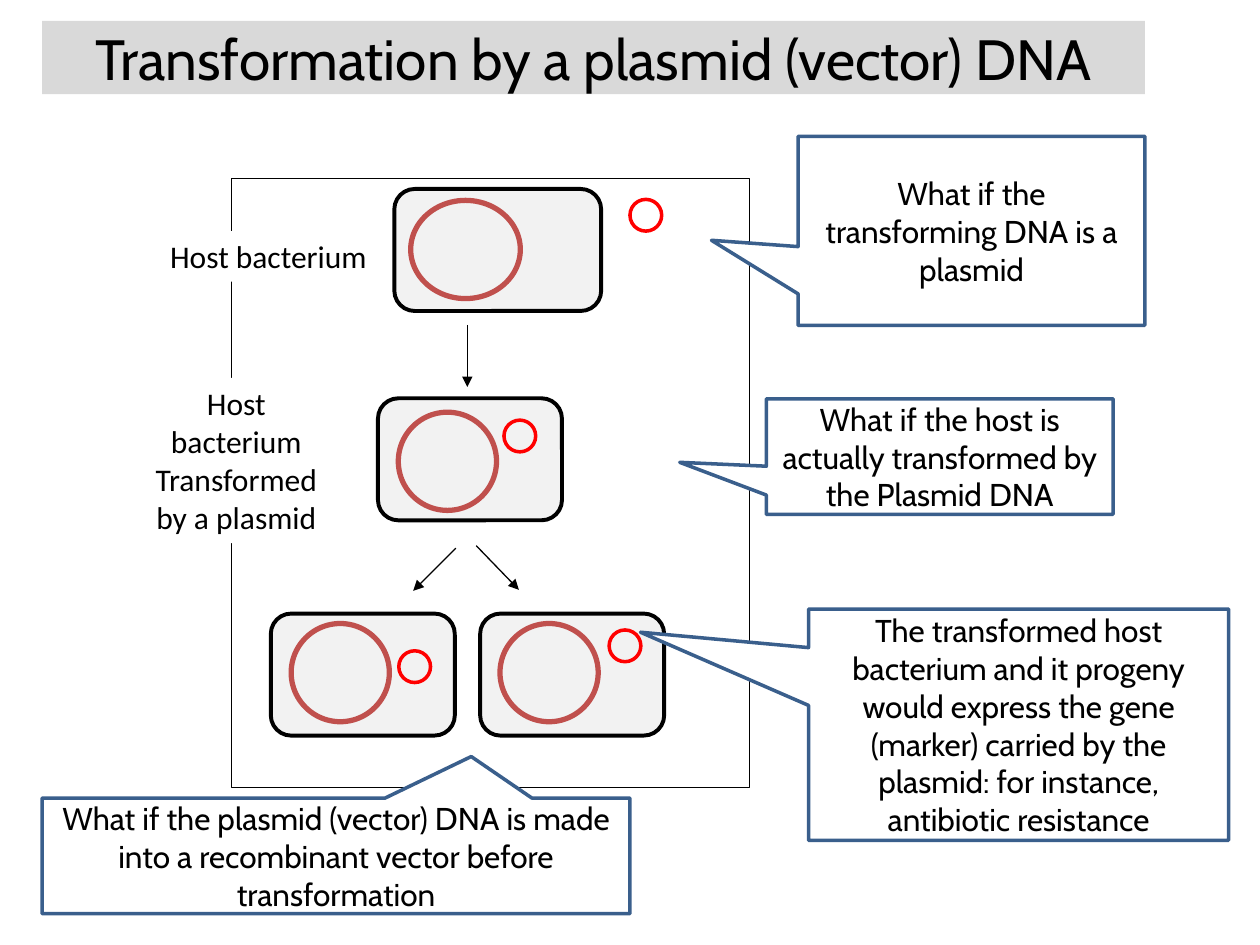
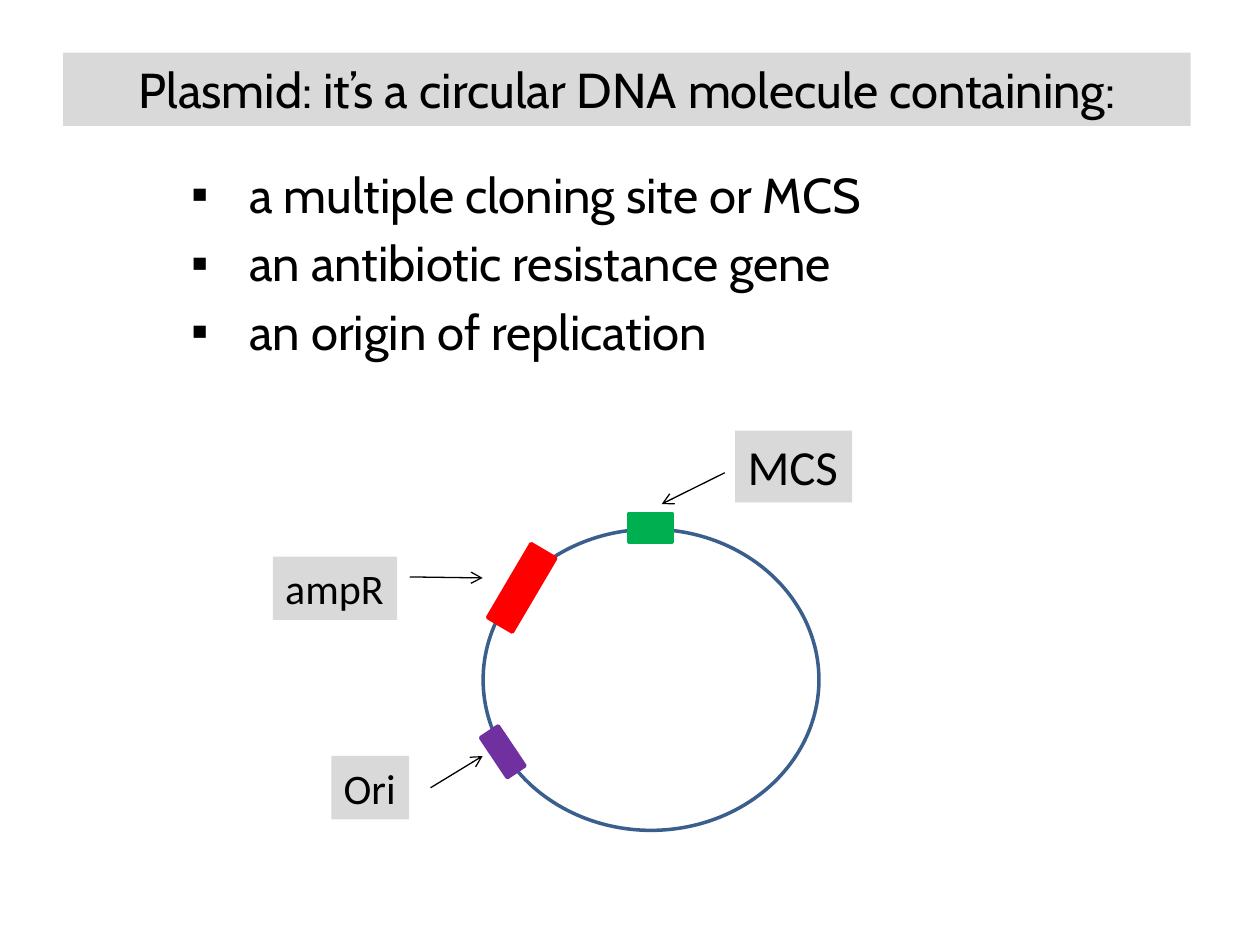
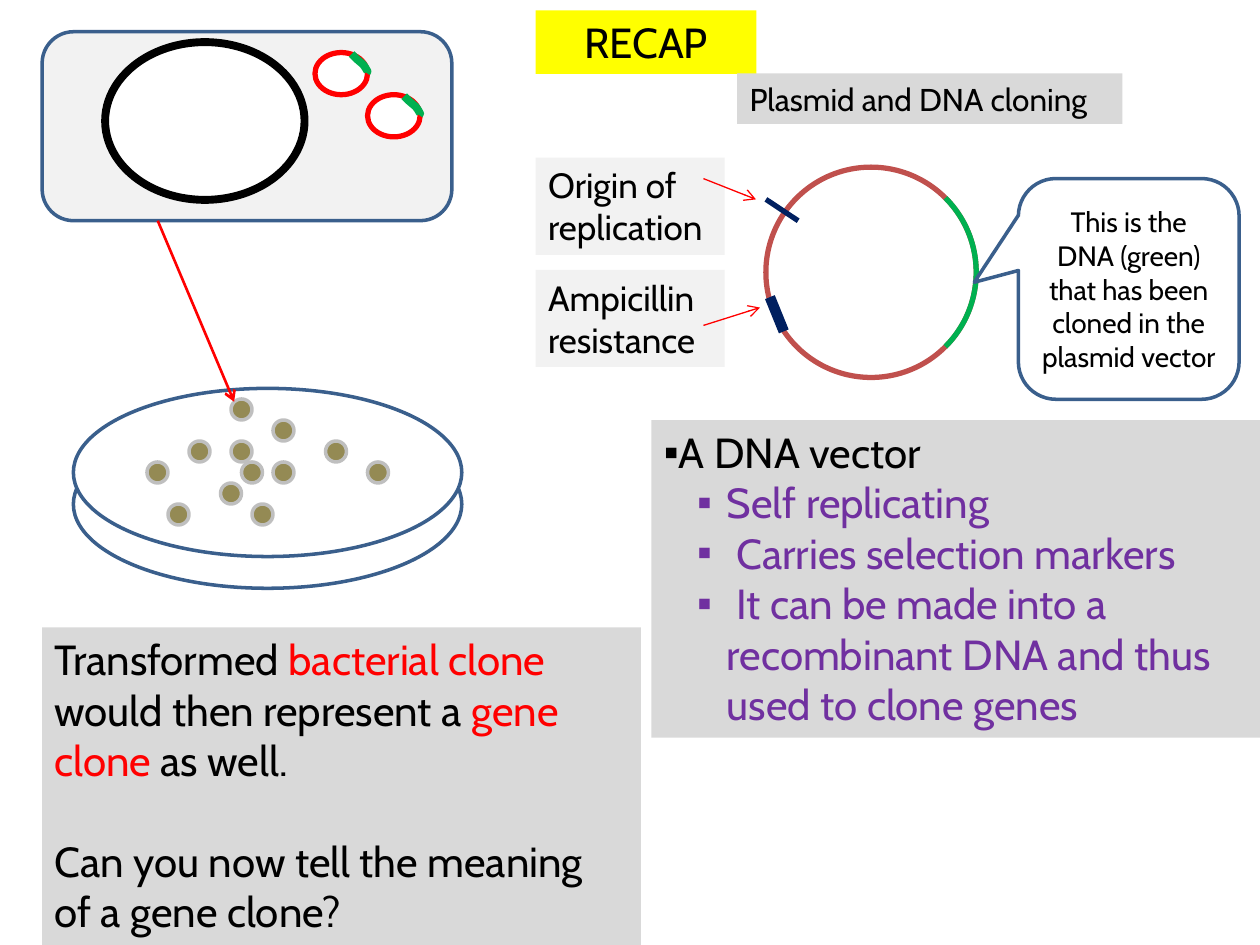
"""Build three teaching slides on plasmids, transformation and DNA cloning."""
import lxml.etree
import pptx
import pptx.dml.color
import pptx.enum.shapes
import pptx.enum.text
import pptx.oxml.ns
import pptx.util

Cm = pptx.util.Cm
Pt = pptx.util.Pt
SHAPE = pptx.enum.shapes.MSO_SHAPE
ALIGN = pptx.enum.text.PP_ALIGN
ANCHOR = pptx.enum.text.MSO_ANCHOR
qn = pptx.oxml.ns.qn

COLORS = {
    "black": "000000", "white": "FFFFFF", "band": "D9D9D9", "cell": "F2F2F2",
    "blue": "3A5F8C", "chromosome": "C0504D", "red": "FF0000", "green": "00B050",
    "purple": "7030A0", "navy": "002060", "yellow": "FFFF00",
    "colony": "948A54", "rim": "BFBFBF",
}
TITLE_ONLY, TITLE_AND_BODY = 5, 1


def rgb(name):
    return pptx.dml.color.RGBColor.from_string(COLORS[name])


class Deck:
    def __init__(self):
        self.prs = pptx.Presentation()
        self.prs.slide_width, self.prs.slide_height = Cm(25.4), Cm(19.05)
        self.slide = None

    def new_slide(self, layout):
        self.slide = self.prs.slides.add_slide(self.prs.slide_layouts[layout])

    def place(self, sp, box):
        sp.left, sp.top, sp.width, sp.height = (Cm(v) for v in box)

    def paint(self, sp, fill=None, line=None, width=2):
        if fill:
            sp.fill.solid()
            sp.fill.fore_color.rgb = rgb(fill)
        else:
            sp.fill.background()
        if line:
            sp.line.color.rgb = rgb(line)
            sp.line.width = Pt(width)
        else:
            sp.line.fill.background()

    def set_text(self, sp, text, size, font="Cabin", align=ALIGN.LEFT,
                 anchor=ANCHOR.TOP, wrap=True):
        tf = sp.text_frame
        tf.auto_size = pptx.enum.text.MSO_AUTO_SIZE.NONE
        tf.word_wrap, tf.vertical_anchor = wrap, anchor
        for i, line in enumerate(text.split("\n")):
            p = tf.add_paragraph() if i else tf.paragraphs[0]
            p.alignment = align
            for j, part in enumerate(line.split("*")):
                r = p.add_run()
                r.text = part
                r.font.size, r.font.name = Pt(size), font
                r.font.color.rgb = rgb("red" if j % 2 else "black")
        return tf

    def title(self, text, box, size, fill="band"):
        sp = self.slide.shapes.title
        self.place(sp, box)
        self.paint(sp, fill)
        self.set_text(sp, text, size, align=ALIGN.CENTER, anchor=ANCHOR.MIDDLE)

    def body(self, text, box, size, fill=None):
        sp = self.slide.placeholders[1]
        self.place(sp, box)
        self.paint(sp, fill)
        return self.set_text(sp, text, size).paragraphs

    def bullet(self, p, left, hang, before=0):
        p.space_before = Pt(before)
        pPr = p._p.get_or_add_pPr()
        pPr.set("marL", str(Cm(left)))
        pPr.set("indent", str(-Cm(hang)))
        lxml.etree.SubElement(pPr, qn("a:buChar")).set("char", "▪")

    def shape(self, kind, box, fill=None, line=None, width=2, adj=(), rotation=0):
        sp = self.slide.shapes.add_shape(kind, *(Cm(v) for v in box))
        sp.shadow.inherit = False
        sp.rotation = rotation
        for i, value in enumerate(adj):
            sp.adjustments[i] = value
        self.paint(sp, fill, line, width)
        return sp

    def ring(self, box, line, width=2, fill=None):
        return self.shape(SHAPE.OVAL, box, fill, line, width)

    def callout(self, text, box, adj, size=18, kind=SHAPE.RECTANGULAR_CALLOUT,
                fill="white"):
        sp = self.shape(kind, box, fill, "blue", adj=adj)
        self.set_text(sp, text, size, align=ALIGN.CENTER, anchor=ANCHOR.MIDDLE)

    def label(self, text, box, size, fill="band", **style):
        sp = self.slide.shapes.add_textbox(*(Cm(v) for v in box))
        self.paint(sp, fill)
        return self.set_text(sp, text, size, **style)

    def line(self, start, end, color="black", width=0.75, head=None):
        c = self.slide.shapes.add_connector(
            pptx.enum.shapes.MSO_CONNECTOR.STRAIGHT, *(Cm(v) for v in start + end))
        c.line.color.rgb = rgb(color)
        c.line.width = Pt(width)
        spPr = c._element.spPr
        if head:
            lxml.etree.SubElement(spPr.find(qn("a:ln")), qn("a:tailEnd")).set("type", head)
        lxml.etree.SubElement(spPr, qn("a:effectLst"))

    def curve(self, points, color, width):
        pts = [(Cm(x), Cm(y)) for x, y in points]
        fb = self.slide.shapes.build_freeform(*pts[0])
        fb.add_line_segments(pts[1:], close=False)
        sp = fb.convert_to_shape()
        sp.shadow.inherit = False
        self.paint(sp, None, color, width)


def transformation(deck):
    deck.new_slide(TITLE_ONLY)
    deck.title("Transformation by a plasmid (vector) DNA", (0.85, 0.42, 22.23, 1.48), 32.4)
    deck.shape(SHAPE.RECTANGLE, (4.66, 3.6, 10.44, 12.27), "white", "black", 0.25)
    cells = [
        ((7.95, 3.81, 4.17, 2.46), (8.28, 4.04, 2.21, 1.98), (12.7, 4.02)),
        ((7.62, 8.03, 3.71, 2.46), (8.03, 8.31, 1.98, 1.98), (10.16, 8.47)),
        ((5.46, 12.37, 3.71, 2.46), (5.87, 12.57, 1.98, 1.98), (8.04, 13.12)),
        ((9.68, 12.37, 3.71, 2.46), (10.08, 12.57, 1.98, 1.98), (12.28, 12.7)),
    ]
    for cell, chromosome, plasmid in cells:
        deck.shape(SHAPE.ROUNDED_RECTANGLE, cell, "cell", "black", 2.25)
        deck.ring(chromosome, "chromosome", 3)
        deck.ring(plasmid + (0.64, 0.64), "red")
    for start, end in [((9.42, 6.55), (9.42, 7.8)), ((9.6, 11), (10.46, 11.89)),
                       ((9.19, 11.05), (8.33, 11.91))]:
        deck.line(start, end, head="triangle")
    deck.label("Host bacterium", (3.18, 4.66, 4.52, 1.02), 18, "white",
               font="Calibri", wrap=False)
    deck.label("Host bacterium\nTransformed by a plasmid", (2.54, 7.62, 4.45, 3.33), 18,
               "white", font="Calibri", align=ALIGN.CENTER)
    deck.callout("What if the transforming DNA is a plasmid",
                 (16.09, 2.75, 6.99, 3.81), (-0.75, 0.05))
    deck.callout("What if the host is actually transformed by the Plasmid DNA",
                 (15.45, 8.04, 6.99, 2.33), (-0.75, 0.05))
    deck.callout("The transformed host bacterium and it progeny would express the gene "
                 "(marker) carried by the plasmid: for instance, antibiotic resistance",
                 (16.3, 12.28, 8.47, 4.66), (-0.9, -0.4))
    deck.callout("What if the plasmid (vector) DNA is made into a recombinant vector "
                 "before transformation", (0.85, 16.09, 11.85, 2.33), (0.23, -0.86))


def plasmid_parts(deck):
    deck.new_slide(TITLE_AND_BODY)
    deck.title("Plasmid: it’s a circular DNA molecule containing:",
               (1.27, 1.06, 22.73, 1.48), 28)
    parts = deck.body(" a multiple cloning site or MCS\n an antibiotic resistance gene\n"
                      " an origin of replication", (3.6, 3.18, 15.24, 4.23), 28)
    for p in parts:
        deck.bullet(p, 0.95, 0.95, before=5.6)
    deck.ring((9.74, 10.67, 6.77, 6.07), "blue")
    sites = [
        ("Ori", 24, "purple", (9.65, 14.94, 0.97, 0.43), 56.1,
         (6.68, 15.24, 1.57, 1.28), (8.68, 15.88), (9.73, 15.24)),
        ("ampR", 24, "red", (9.65, 11.56, 1.73, 0.58), 120.5,
         (5.5, 11.22, 2.51, 1.28), (8.26, 11.63), (9.73, 11.65)),
        ("MCS", 28, "green", (12.67, 10.36, 0.89, 0.58), 0,
         (14.82, 8.68, 2.36, 1.45), (14.61, 9.53), (13.34, 10.16)),
    ]
    for name, size, color, site, rotation, box, start, end in sites:
        deck.shape(SHAPE.RECTANGLE, site, color, color, rotation=rotation)
        deck.label(name, box, size, font="Calibri", wrap=False)
        deck.line(start, end, head="arrow")


def recap(deck):
    deck.new_slide(TITLE_AND_BODY)
    deck.title("RECAP", (10.8, 0.21, 4.45, 1.28), 24, "yellow")
    vector, *features = deck.body(
        "A DNA vector\nSelf replicating\n Carries selection markers\n"
        " It can be made into a recombinant DNA and thus used to clone genes",
        (13.13, 8.47, 12.27, 6.4), 24, "band")
    deck.bullet(vector, 0, 0)
    for p in features:
        p.level = 1
        deck.bullet(p, 1.27, 0.6)
        p.runs[0].font.color.rgb = rgb("purple")

    tf = deck.label("Transformed *bacterial clone *would then represent a *gene clone* as well.\n"
                    "Can you now tell the meaning of a gene clone?",
                    (0.85, 12.65, 12.07, 6.4), 24)
    tf.paragraphs[1].space_before = Pt(28.8)

    for top in (8.47, 7.83):
        deck.ring((1.48, top, 7.83, 3.39), "blue", fill="white")
    step = 2.54 / 12
    colonies = [(31, 42), (23, 44), (35, 44), (24, 48), (26, 44), (21, 46),
                (22, 38), (18, 42), (26, 40), (16, 48), (22, 42), (14, 44)]
    for col, row in colonies:
        deck.ring((col * step, row * step, 2 * step, 2 * step), "rim", fill="colony")

    deck.shape(SHAPE.ROUNDED_RECTANGLE, (0.85, 0.64, 8.26, 3.81), "cell", "blue")
    deck.ring((2.12, 0.85, 4.02, 3.18), "black", 4.5, "white")
    insert = [(0.74, 0.03), (0.84, 0.13), (0.97, 0.24), (1.02, 0.31), (1.06, 0.38), (1.04, 0.41)]
    for x, y in [(7.41, 1.91), (6.35, 1.06)]:
        deck.ring((x, y, 1.06, 0.85), "red", 3, "white")
        deck.curve([(x + dx, y + dy) for dx, dy in insert], "green", 4.5)
    deck.line((3.18, 4.45), (4.72, 8.1), "red", 1.5, "arrow")

    vector_box = (15.44, 3.37, 4.24, 4.24)
    deck.ring(vector_box, "chromosome", 3)
    deck.shape(SHAPE.ARC, vector_box, None, "green", 3, adj=(315 * 0.6, 45 * 0.6))
    deck.label("Plasmid and DNA cloning", (14.86, 1.48, 7.77, 1.02), 18)
    markers = [
        ("Origin of replication", 3.18, (15.44, 4.02), (16.09, 4.45), 3,
         (14.18, 3.6), (15.24, 4.02)),
        ("Ampicillin resistance", 5.44, (15.52, 5.99), (15.8, 6.68), 6,
         (14.18, 6.56), (15.32, 6.2)),
    ]
    for name, top, mark_from, mark_to, width, start, end in markers:
        deck.label(name, (10.8, top, 3.81, 1.96), 20, "cell")
        deck.line(mark_from, mark_to, "navy", width)
        deck.line(start, end, "red", head="arrow")
    deck.callout("This is the DNA (green) that has been cloned in the plasmid vector",
                 (20.53, 3.6, 4.45, 4.45), (-0.7, -0.03, 0.17), 16,
                 SHAPE.ROUNDED_RECTANGULAR_CALLOUT, None)


def main():
    deck = Deck()
    transformation(deck)
    plasmid_parts(deck)
    recap(deck)
    deck.prs.save("out.pptx")


if __name__ == "__main__":
    main()
